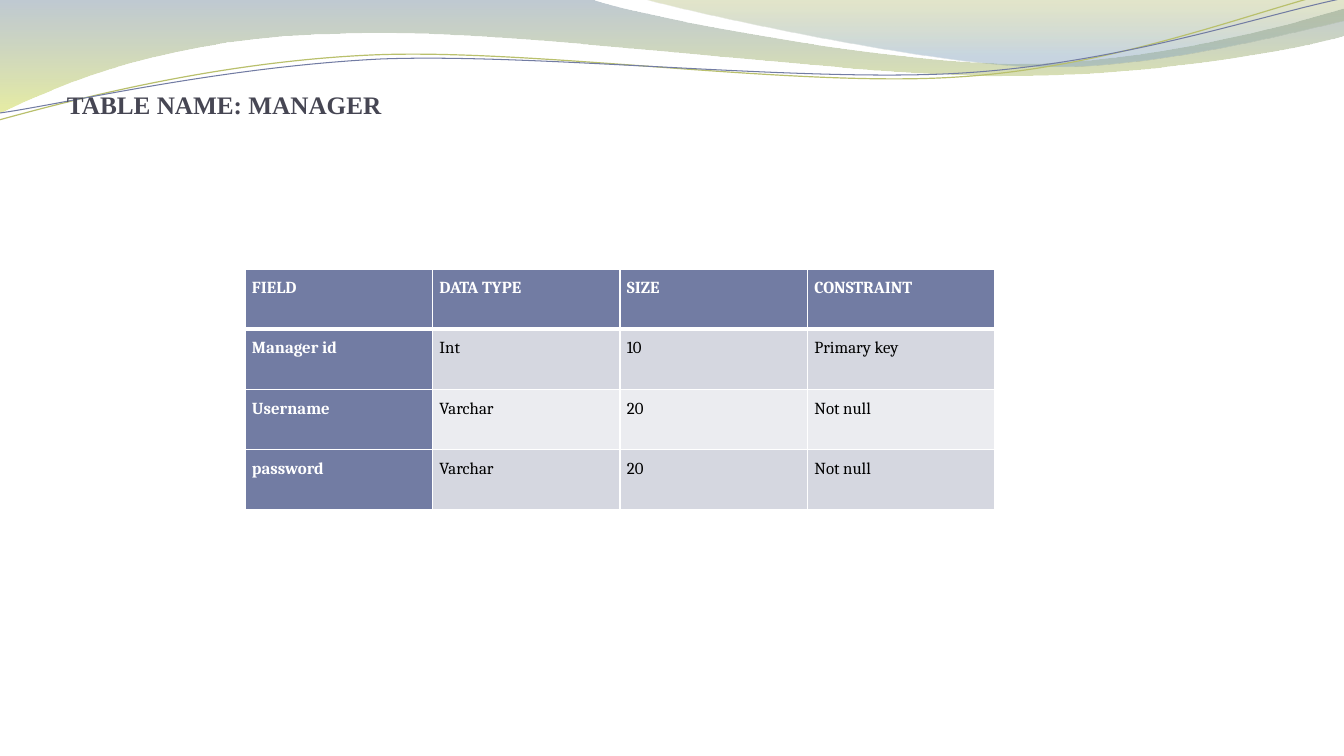
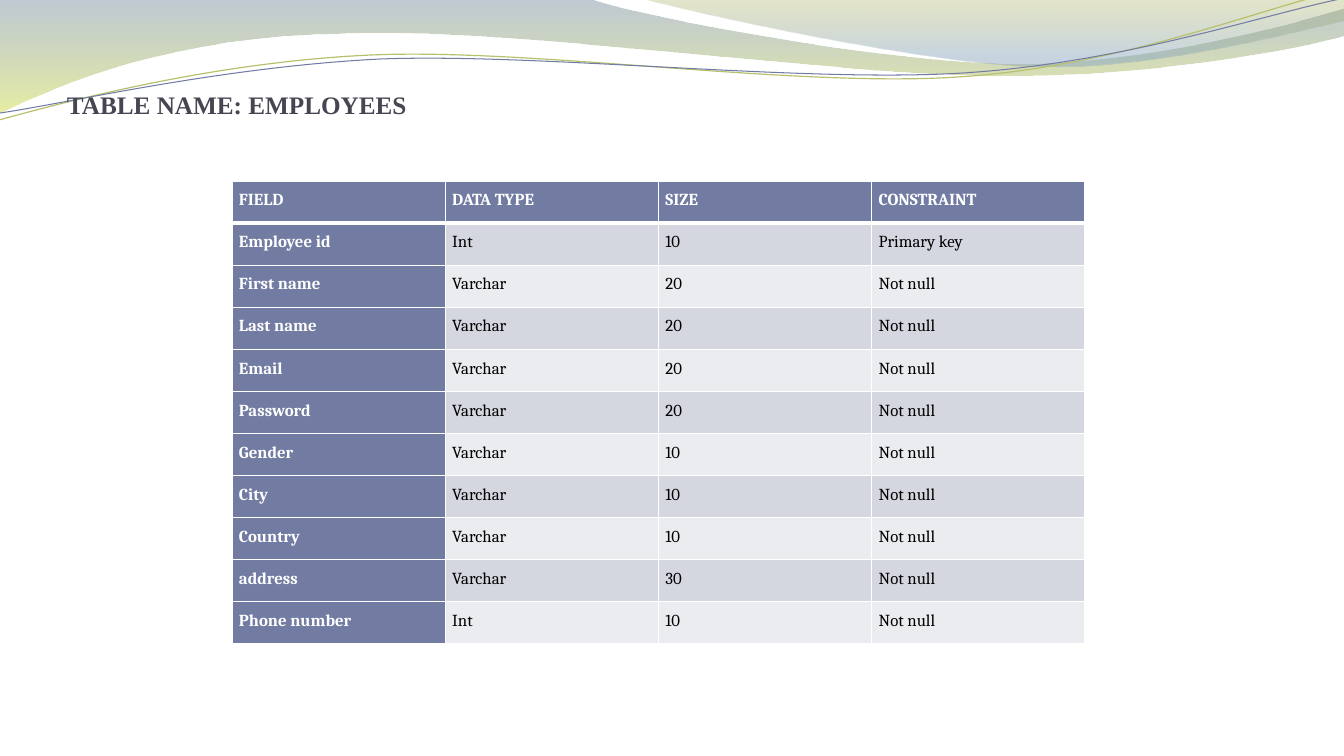
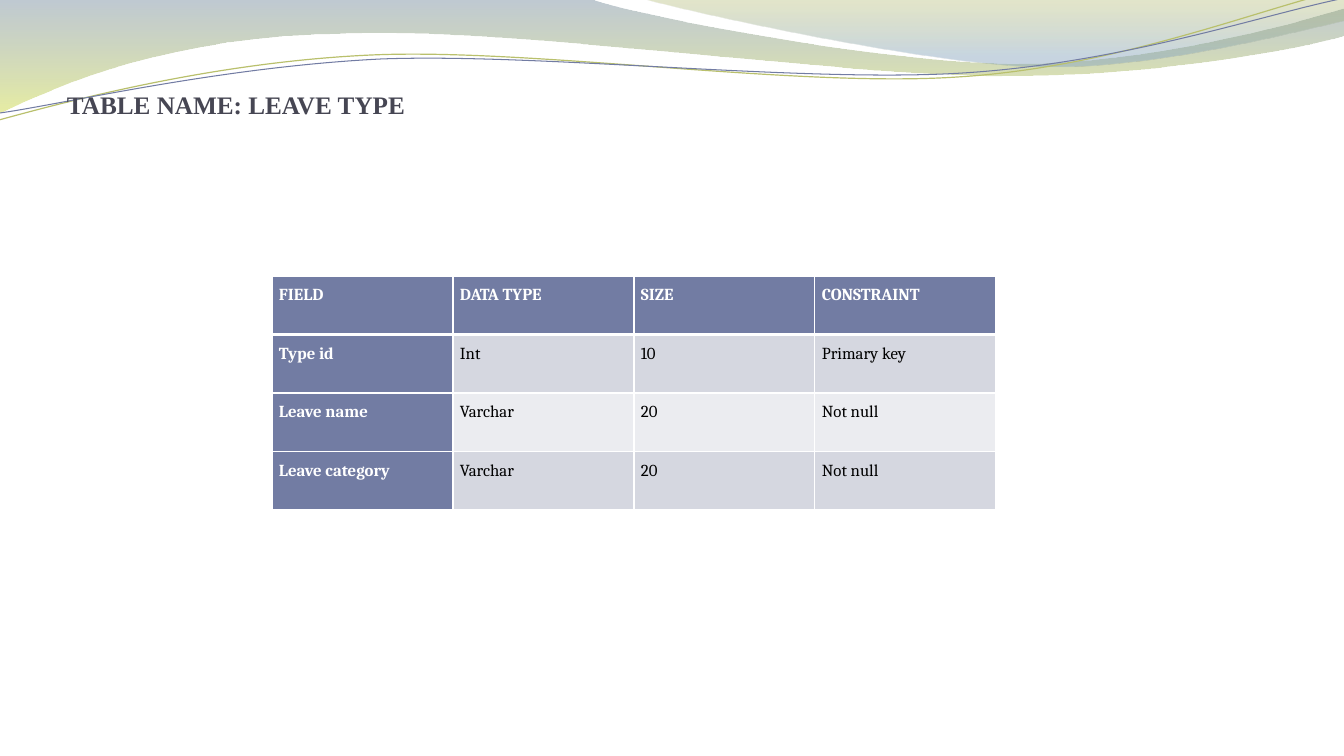
from pptx import Presentation
from pptx import util as u
from pptx.dml.color import RGBColor
from pptx.enum import text
from pptx.oxml import parse_xml
from pptx.oxml import ns

PX = 914400 / 100.8
WHITE = RGBColor(0xFF, 0xFF, 0xFF)
BLACK = RGBColor(0, 0, 0)
INK = RGBColor(0x46, 0x46, 0x53)
BLUE = RGBColor(0x72, 0x7C, 0xA3)
BAND = RGBColor(0xD5, 0xD7, 0xE0)
PALE = RGBColor(0xEB, 0xEC, 0xF0)
STEEL = RGBColor(0x72, 0x88, 0x9B)
LIME = RGBColor(0xD3, 0xDE, 0x57)
OLIVE = RGBColor(0xA4, 0xAC, 0x50)
SKY = RGBColor(0x84, 0xA3, 0xBD)
GREEN = RGBColor(0xB9, 0xC0, 0x6C)

TITLE = (67, 78, 1210, 126)
HEAD = ("FIELD", "DATA TYPE", "SIZE", "CONSTRAINT")

WIDE = [(0, 0), (590, -1),
        (639, 17, 892, 64, 1019, 64), (1147, 64, 1288, 26, 1344, 9),
        (1346, 36),
        (1321, 44, 1169, 77, 1002, 76), (836, 76, 513, 28, 346, 34),
        (173, 36, 61, 84, -1, 114), (0, 0)]
SHORT = [(642, -1), (684, 11, 916, 62, 1033, 66),
         (1150, 70, 1292, 32, 1344, 21), (1344, 0), (642, -1)]
UPPER = [(-1, 120), (65, 102, 213, 62, 372, 55),
         (531, 48, 796, 88, 958, 77), (1119, 67, 1262, 8, 1342, -10)]
LOWER = [(0, 113), (64, 104, 220, 67, 381, 59),
         (541, 53, 802, 83, 963, 73), (1124, 63, 1265, 14, 1345, -2)]

TABLES = [
    ("MANAGER", (245, 269, 750, 241), [
        ("Manager id", "Int", 10),
        ("Username", "Varchar", 20),
        ("password", "Varchar", 20)]),
    ("EMPLOYEES", (232, 181, 853, 463), [
        ("Employee id", "Int", 10),
        ("First name", "Varchar", 20),
        ("Last name", "Varchar", 20),
        ("Email", "Varchar", 20),
        ("Password", "Varchar", 20),
        ("Gender", "Varchar", 10),
        ("City", "Varchar", 10),
        ("Country", "Varchar", 10),
        ("address", "Varchar", 30),
        ("Phone number", "Int", 10)]),
    ("LEAVE TYPE", (272, 276, 724, 234), [
        ("Type id", "Int", 10),
        ("Leave name", "Varchar", 20),
        ("Leave category", "Varchar", 20)]),
]


def px(n):
    """Turn pixels into EMU."""
    return u.Emu(round(n * PX))


def bend(shape, path):
    """Join each three lines of a curved segment into one cubic curve."""
    lines = iter(list(shape.element.iter(ns.qn("a:lnTo"))))
    for seg in path[1:]:
        first = next(lines)
        if len(seg) == 2:
            continue
        curve = parse_xml(f'<a:cubicBezTo {ns.nsdecls("a")}/>')
        first.addprevious(curve)
        for line in (first, next(lines), next(lines)):
            curve.append(line[0])
            line.getparent().remove(line)


def outline(slide, path, close):
    """Draw a path of corners and cubic curves as a flat freeform."""
    pts = [(px(x), px(y)) for seg in path
           for x, y in zip(seg[::2], seg[1::2])]
    pen = slide.shapes.build_freeform(*pts[0])
    pen.add_line_segments(pts[1:], close=close)
    shape = pen.convert_to_shape()
    bend(shape, path)
    shape.shadow.inherit = False
    return shape


def wave(slide, path, stops):
    """Draw a see-through wave shaded from top to bottom."""
    shape = outline(slide, path, True)
    shape.line.fill.background()
    fill = shape.fill
    fill.gradient()
    fill.gradient_angle = 270
    for stop, (pos, color, _) in zip(fill.gradient_stops, stops):
        stop.position = pos
        stop.color.rgb = color
    marks = shape.element.iter(ns.qn("a:srgbClr"))
    for mark, (_, _, alpha) in zip(marks, stops):
        mark.append(parse_xml(
            f'<a:alpha {ns.nsdecls("a")} val="{alpha * 1000}"/>'))
    return shape


def strand(slide, path, color, width):
    """Draw an open curved line."""
    shape = outline(slide, path, False)
    shape.fill.background()
    shape.line.color.rgb = color
    shape.line.width = u.Pt(width)
    return shape


def banner(slide):
    """Put the waves on the layout of a slide, behind its text."""
    parts = [
        wave(slide, WIDE, [(0, STEEL, 45), (1, LIME, 55)]),
        wave(slide, SHORT, [(0, OLIVE, 30), (0.8, SKY, 45)]),
        strand(slide, UPPER, GREEN, 0.85),
        strand(slide, LOWER, BLUE, 0.75)]
    tree = slide.slide_layout.shapes.element
    for spot, part in enumerate(parts, 2):
        tree.insert(spot, part.element)


def heading(slide, box, words):
    """Fill the title placeholder."""
    title = slide.shapes.title
    title.left, title.top, title.width, title.height = map(px, box)
    frame = title.text_frame
    frame.text = words
    frame.word_wrap = True
    frame.auto_size = text.MSO_AUTO_SIZE.NONE
    frame.vertical_anchor = text.MSO_ANCHOR.BOTTOM
    frame.margin_left = frame.margin_right = 0
    frame.margin_top, frame.margin_bottom = px(5), px(84)
    para = frame.paragraphs[0]
    para.alignment = text.PP_ALIGN.LEFT
    font = para.font
    font.name, font.size, font.bold = "Times New Roman", u.Pt(18), True
    font.color.rgb = INK


def border(cell, row):
    """Rule a cell in white, thicker below the header."""
    props = cell._tc.get_or_add_tcPr()
    thick = {(0, "B"), (1, "T")}
    for spot, side in enumerate("LRTB"):
        width = u.Pt(3 if (row, side) in thick else 1)
        props.insert(spot, parse_xml(
            f'<a:ln{side} {ns.nsdecls("a")} w="{width}"><a:solidFill>'
            f'<a:srgbClr val="{WHITE}"/></a:solidFill></a:ln{side}>'))


def entry(cell, words, row, col):
    """Write and colour one cell by its place."""
    key = row == 0 or col == 0
    cell.margin_left = cell.margin_right = px(7)
    cell.margin_top = cell.margin_bottom = 0
    cell.fill.solid()
    cell.fill.fore_color.rgb = BLUE if key else BAND if row % 2 else PALE
    border(cell, row)
    cell.text = str(words)
    para = cell.text_frame.paragraphs[0]
    para.line_spacing = 1.5
    font = para.font
    font.name, font.size, font.bold = "Cambria", u.Pt(12), key
    font.color.rgb = WHITE if key else BLACK


def grid(slide, box, fields):
    """Place a table of fields with equal rows and columns."""
    rows = [HEAD] + [(*field, "Not null" if spot else "Primary key")
                     for spot, field in enumerate(fields)]
    frame = slide.shapes.add_table(len(rows), len(HEAD), *map(px, box))
    table = frame.table
    table.first_col = True
    for col in table.columns:
        col.width = px(box[2] / len(HEAD))
    for row, line in enumerate(rows):
        table.rows[row].height = px(box[3] / len(rows))
        for col, words in enumerate(line):
            entry(table.cell(row, col), words, row, col)


def build():
    """Make the whole deck."""
    deck = Presentation()
    deck.slide_width, deck.slide_height = px(1344), px(756)
    layout = deck.slide_layouts[5]
    for spot, (name, box, fields) in enumerate(TABLES):
        slide = deck.slides.add_slide(layout)
        if spot == 0:
            banner(slide)
        heading(slide, TITLE, f"TABLE NAME: {name}")
        grid(slide, box, fields)
    deck.save("out.pptx")


build()
